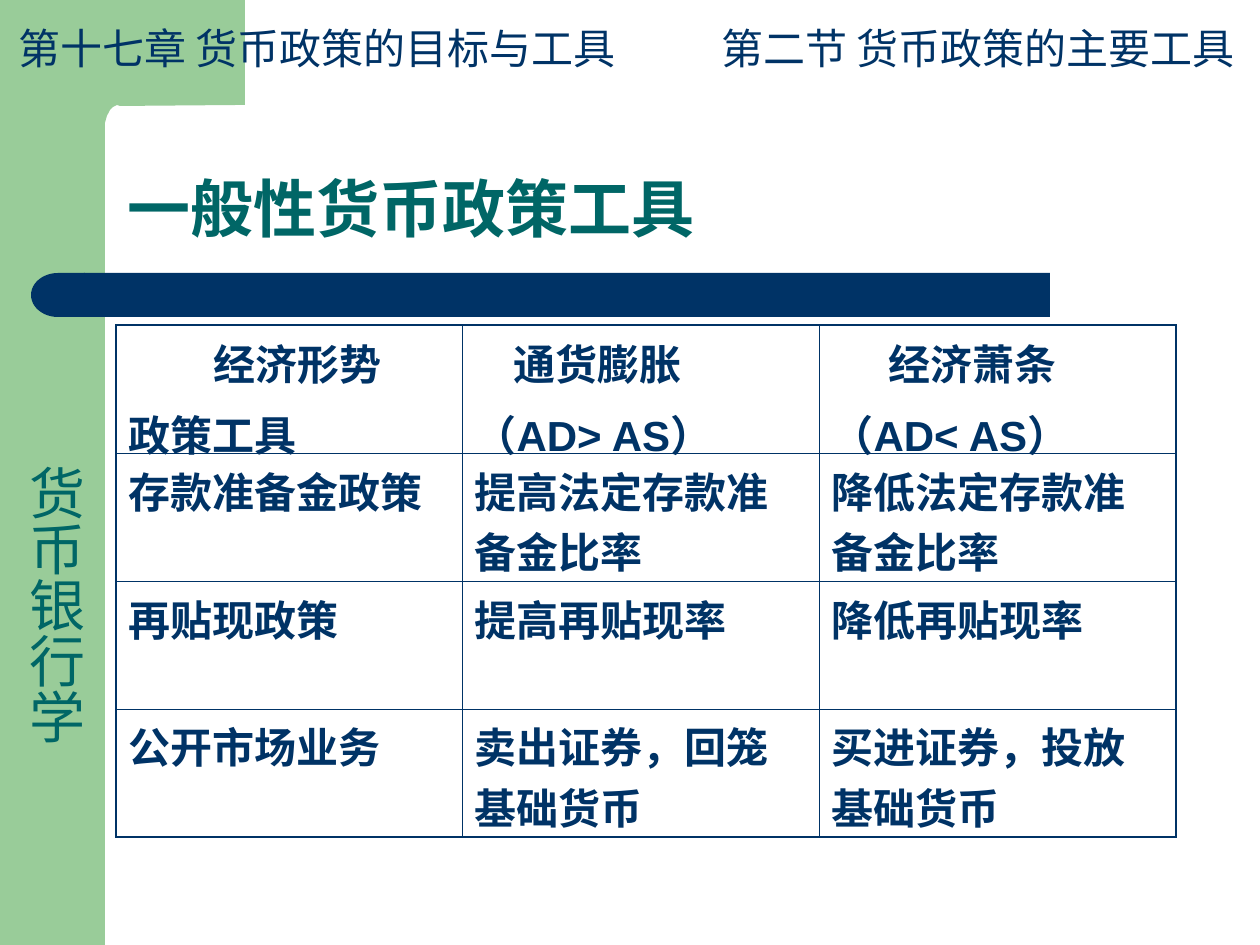
from lxml.etree import SubElement
from pptx import Presentation
from pptx.dml.color import RGBColor
from pptx.enum.shapes import MSO_SHAPE
from pptx.enum.text import MSO_ANCHOR, MSO_AUTO_SIZE, PP_ALIGN
from pptx.oxml.ns import qn
from pptx.util import Emu, Pt

SCALE = 914400 / 126
NAVY, TEAL, GREEN = "003366", "006666", "99CC99"


def px(length):
    return Emu(round(length * SCALE))


def write(para, text, size=24, color=NAVY, bold=False, indent=0, before=0, spacing=1.0):
    para.alignment = PP_ALIGN.LEFT
    para.space_before = Pt(before)
    para.line_spacing = spacing
    properties = para._p.get_or_add_pPr()
    properties.set("marL", str(px(indent)))
    properties.set("indent", "0")
    span = para.add_run()
    span.text = text
    span.font.name = "Arial"
    span.font.size = Pt(size)
    span.font.bold = bold
    span.font.color.rgb = RGBColor.from_string(color)


deck = Presentation()
deck.slide_width, deck.slide_height = px(1260), px(945)
page = deck.slides.add_slide(deck.slide_layouts[5])
shapes = page.shapes

# Green side band with its curved corner, and the navy bar under the title
band = shapes.add_shape(MSO_SHAPE.RECTANGLE, 0, 0, px(105), px(945))
outline = shapes.build_freeform(245, 0, scale=SCALE)
outline.add_line_segments([
    (245, 105), (120, 106), (117, 105), (113, 107), (110, 110), (107, 116),
    (105, 123), (103, 131), (102, 146), (102, 161), (84, 161), (84, 0),
])
corner = outline.convert_to_shape()
bar = shapes.add_shape(MSO_SHAPE.RECTANGLE, px(84), px(273), px(966), px(44))
bar_end = shapes.add_shape(MSO_SHAPE.FLOWCHART_DELAY, px(31), px(273), px(54), px(44))
bar_end.rotation = 180
for shape, color in [(band, GREEN), (corner, GREEN), (bar, NAVY), (bar_end, NAVY)]:
    shape.shadow.inherit = False
    shape.fill.solid()
    shape.fill.fore_color.rgb = RGBColor.from_string(color)
    shape.line.fill.background()

title = shapes.title
title.left, title.top, title.width, title.height = px(115), px(115), px(1072), px(137)
title.text_frame.vertical_anchor = MSO_ANCHOR.BOTTOM
title.text_frame.auto_size = MSO_AUTO_SIZE.NONE
write(title.text_frame.paragraphs[0], "一般性货币政策工具", size=36, color=TEAL, bold=True, spacing=0.9)

# Vertical course name
course = shapes.add_textbox(px(3), px(16), px(92), px(929))
frame = course.text_frame
frame.word_wrap = True
frame.margin_left = frame.margin_right = px(6)
frame.margin_top = frame.margin_bottom = px(13)
frame._txBody.bodyPr.set("vert", "eaVert")
write(frame.paragraphs[0], "货币银行学", size=32, color=TEAL, indent=436)

# Running heads
for left, width, text in [
    (709, 544, "第二节 货币政策的主要工具"),
    (6, 717, "第十七章 货币政策的目标与工具"),
]:
    box = shapes.add_textbox(px(left), px(16), px(width), px(63))
    box.text_frame.word_wrap = True
    write(box.text_frame.paragraphs[0], text)

# Policy table: each cell is a list of (text, indent) paragraphs
rows = [
    [[("经济形势", 85), ("政策工具", 0)],
     [("通货膨胀", 39), ("（AD> AS）", 0)],
     [("经济萧条", 57), ("（AD< AS）", 0)]],
    [[("存款准备金政策", 0)], [("提高法定存款准备金比率", 0)], [("降低法定存款准备金比率", 0)]],
    [[("再贴现政策", 0)], [("提高再贴现率", 0)], [("降低再贴现率", 0)]],
    [[("公开市场业务", 0)], [("卖出证券，回笼基础货币", 0)], [("买进证券，投放基础货币", 0)]],
]
widths = [346, 357, 357]
table = shapes.add_table(len(rows), len(widths), px(116), px(325), px(sum(widths)), px(512)).table
table.first_row = table.horz_banding = False
for column, width in zip(table.columns, widths):
    column.width = px(width)
for r, row in enumerate(rows):
    table.rows[r].height = px(128)
    for c, lines in enumerate(row):
        cell = table.cell(r, c)
        for i, (text, indent) in enumerate(lines):
            paras = cell.text_frame.paragraphs
            para = paras[0] if i == 0 else cell.text_frame.add_paragraph()
            write(para, text, bold=True, indent=indent, before=6)
        outer_sides = {
            "a:lnL": c == 0,
            "a:lnR": c == len(widths) - 1,
            "a:lnT": r == 0,
            "a:lnB": r == len(rows) - 1,
        }
        for side, outer in outer_sides.items():
            border = SubElement(cell._tc.get_or_add_tcPr(), qn(side), w=str(Pt(1.08 if outer else 0.45)))
            SubElement(SubElement(border, qn("a:solidFill")), qn("a:srgbClr"), val=NAVY)
        cell.fill.background()

deck.save("out.pptx")
